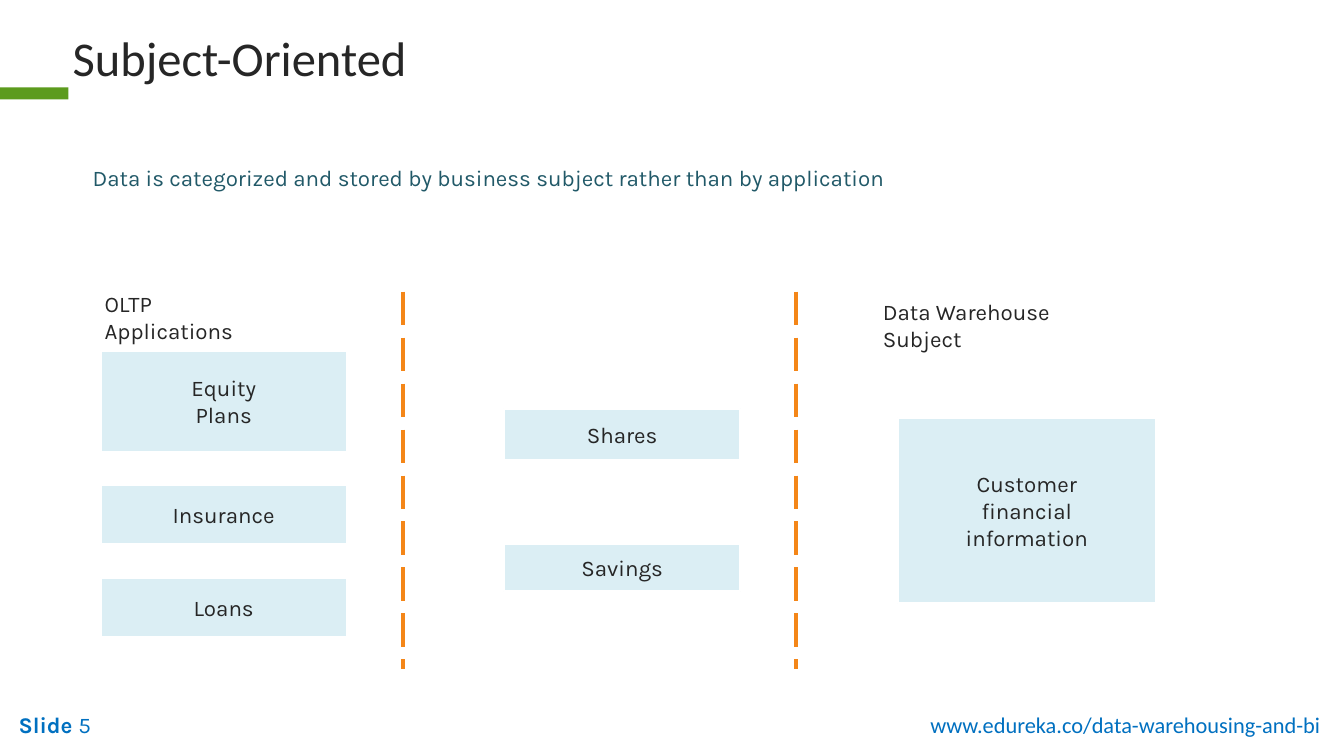
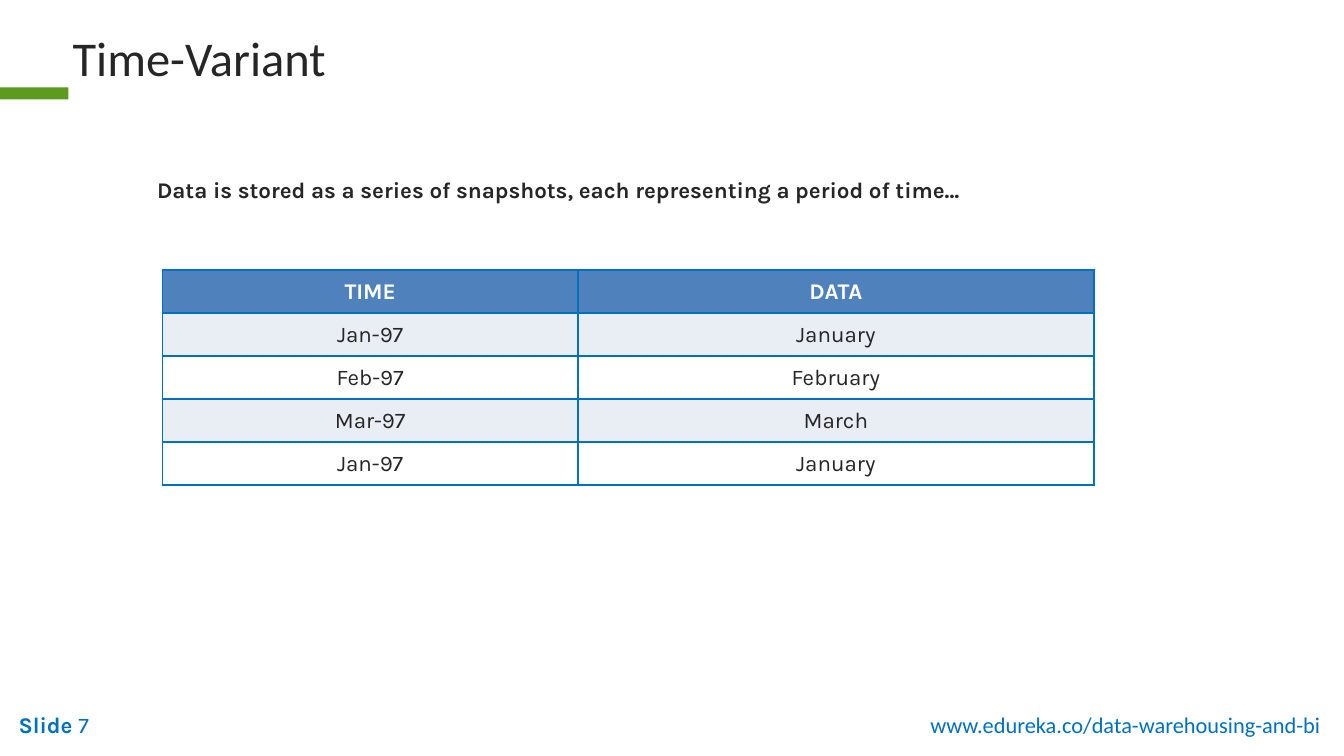
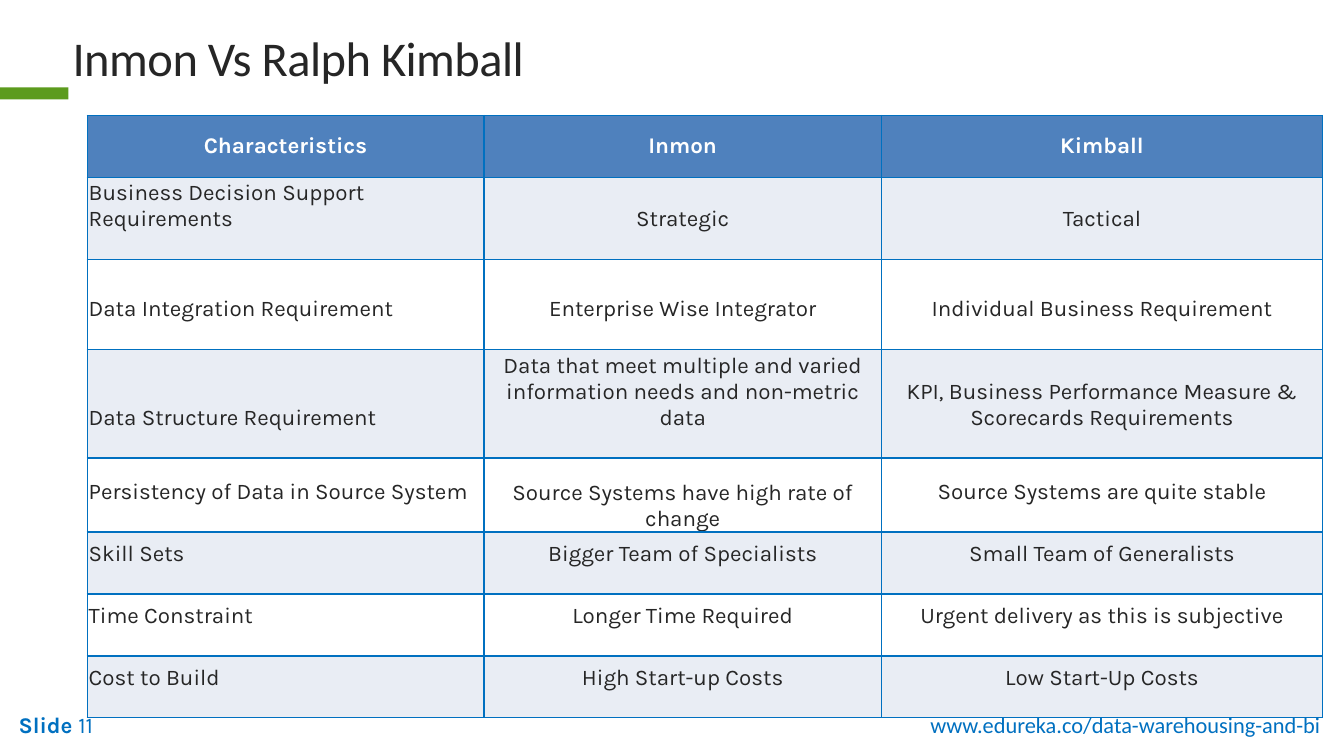
"""Build three data warehousing slides with python-pptx."""
from typing import NamedTuple

from lxml.etree import SubElement
from pptx import Presentation
from pptx.dml.color import RGBColor
from pptx.enum.dml import MSO_LINE_DASH_STYLE as Dash
from pptx.enum.shapes import MSO_AUTO_SHAPE_TYPE as ShapeType, MSO_CONNECTOR_TYPE as ConnectorType
from pptx.enum.text import MSO_ANCHOR as Anchor, MSO_AUTO_SIZE as AutoSize, PP_ALIGN as Align
from pptx.oxml.ns import qn
from pptx.util import Inches, Pt

GREEN = RGBColor(0x5C, 0x9B, 0x1D)
BLUE = RGBColor(0x00, 0x70, 0xC0)
INK = RGBColor(0x26, 0x26, 0x26)
TEAL = RGBColor(0x21, 0x59, 0x68)
PALE_BLUE = RGBColor(0xDB, 0xEE, 0xF4)
ORANGE = RGBColor(0xF4, 0x86, 0x18)
HEADER_BLUE = RGBColor(0x4F, 0x81, 0xBD)
BAND_GREY = RGBColor(0xE9, 0xED, 0xF4)
WHITE = RGBColor(0xFF, 0xFF, 0xFF)

SLIDE_WIDTH = Inches(10)
SLIDE_HEIGHT = Inches(10 * 9 / 16)
WEBSITE = "www.edureka.co/data-warehousing-and-bi"
TITLE_FRAME = {"word_wrap": True, "auto_size": AutoSize.NONE, "vertical_anchor": Anchor.TOP,
               "margin_left": Inches(0.1), "margin_right": Inches(0.1),
               "margin_top": Inches(0.05), "margin_bottom": Inches(0.05)}
BOX_FRAME = {"word_wrap": False, "vertical_anchor": Anchor.MIDDLE}
HEADER_MARGINS = {"margin_left": Inches(0.12), "margin_right": Inches(0.12),
                  "margin_top": Inches(0.06), "margin_bottom": Inches(0.06)}
CELL_MARGINS = {"margin_left": Inches(0.01), "margin_right": Inches(0.01),
                "margin_top": Inches(0.01), "margin_bottom": 0}


class Area(NamedTuple):
    """Position and size in inches."""
    left: float
    top: float
    width: float
    height: float

    def lengths(self) -> list:
        """Return the four values as lengths."""
        return [Inches(value) for value in self]


class TextStyle(NamedTuple):
    """Look of a run of text."""
    color: RGBColor = INK
    name: str = "Karla"
    size: float = 12
    bold: bool = False
    spacing: float = 0


class SubjectBox(NamedTuple):
    """A pale box with one line of text per paragraph."""
    area: Area
    lines: tuple


class TableSpec(NamedTuple):
    """Contents and layout of a banded table."""
    area: Area
    widths: tuple
    heights: tuple
    rows: tuple
    anchor: Anchor
    first_align: Align
    bottom_gap: float = 0
    tight_cells: tuple = ()


BODY = TextStyle()
TITLE = TextStyle(name="Calibri", size=26)
TIGHT_TITLE = TITLE._replace(spacing=-0.3)
HEADER = TextStyle(WHITE, bold=True)

SUBJECT_BOXES = (
    SubjectBox(Area(0.75, 2.61, 1.83, 0.75), ("Equity", "Plans")),
    SubjectBox(Area(3.75, 3.04, 1.76, 0.38), ("Shares",)),
    SubjectBox(Area(6.68, 3.11, 1.92, 1.38), ("Customer", "financial", "information")),
    SubjectBox(Area(3.75, 4.05, 1.76, 0.35), ("Savings",)),
    SubjectBox(Area(0.75, 3.61, 1.83, 0.44), ("Insurance",)),
    SubjectBox(Area(0.75, 4.3, 1.83, 0.44), ("Loans",)),
)
SNAPSHOTS = TableSpec(
    Area(1.21, 2.01, 6.93, 1.6), (3.09, 3.84), (0.32,) * 5,
    (("TIME", "DATA"), ("Jan-97", "January"), ("Feb-97", "February"),
     ("Mar-97", "March"), ("Jan-97", "January")),
    Anchor.MIDDLE, Align.CENTER)
COMPARISON = TableSpec(
    Area(0.65, 0.86, 9.19, 4.36), (2.95, 2.96, 3.28),
    (0.46, 0.6, 0.67, 0.7, 0.55, 0.46, 0.46, 0.46),
    (("Characteristics", "Inmon", "Kimball"),
     ("Business Decision Support Requirements", "Strategic", "Tactical"),
     ("Data Integration Requirement", "Enterprise Wise Integrator",
      "Individual Business Requirement"),
     ("Data Structure Requirement",
      "Data that meet multiple and varied information needs and non-metric data",
      "KPI, Business Performance Measure & Scorecards Requirements"),
     ("Persistency of Data in Source System", "Source Systems have high rate of change",
      "Source Systems are quite stable"),
     ("Skill Sets", "Bigger Team of Specialists", "Small Team of Generalists"),
     ("Time Constraint", "Longer Time Required", "Urgent delivery as this is subjective"),
     ("Cost to Build", "High Start-up Costs", "Low Start-Up Costs")),
    Anchor.BOTTOM, Align.LEFT, bottom_gap=0.2, tight_cells=((4, 1),))


def apply(target, values: dict) -> None:
    """Set each named attribute on the target."""
    for name, value in values.items():
        setattr(target, name, value)


def add_run(paragraph, text: str, style: TextStyle) -> None:
    """Append a styled run to a paragraph."""
    run = paragraph.add_run()
    run.text = text
    apply(run.font, {"name": style.name, "size": Pt(style.size), "bold": style.bold})
    run.font.color.rgb = style.color
    if style.spacing:
        run._r.get_or_add_rPr().set("spc", str(round(style.spacing * 100)))


def write_lines(frame, lines: tuple, style: TextStyle, align: Align = Align.LEFT) -> None:
    """Write one styled paragraph per line."""
    for index, line in enumerate(lines):
        paragraph = frame.add_paragraph() if index else frame.paragraphs[0]
        paragraph.alignment = align
        add_run(paragraph, line, style)


def add_text(slide, area: Area, lines: tuple, style: TextStyle = BODY,
             align: Align = Align.LEFT):
    """Add a wrapping text box and return its frame."""
    frame = slide.shapes.add_textbox(*area.lengths()).text_frame
    frame.word_wrap = True
    write_lines(frame, lines, style, align)
    return frame


def add_rectangle(slide, area: Area, fill: RGBColor):
    """Add a flat rectangle without an outline."""
    shape = slide.shapes.add_shape(ShapeType.RECTANGLE, *area.lengths())
    shape.shadow.inherit = False
    shape.fill.solid()
    shape.fill.fore_color.rgb = fill
    shape.line.fill.background()
    return shape


def add_subject_box(slide, box: SubjectBox) -> None:
    """Add a pale box with centred text."""
    shape = add_rectangle(slide, box.area, PALE_BLUE)
    shape.line.color.rgb = WHITE
    shape.line.width = Pt(1)
    apply(shape.text_frame, BOX_FRAME)
    write_lines(shape.text_frame, box.lines, BODY, Align.CENTER)


def add_divider(slide, left: float) -> None:
    """Add a dashed vertical line."""
    line = slide.shapes.add_connector(ConnectorType.STRAIGHT, Inches(left), Inches(2.17),
                                      Inches(left), Inches(4.98))
    line.line.color.rgb = ORANGE
    apply(line.line, {"width": Pt(2.25), "dash_style": Dash.LONG_DASH})
    SubElement(line.element.spPr, qn("a:effectLst"))


def add_borders(cell) -> None:
    """Outline a table cell on all four sides."""
    properties = cell._tc.get_or_add_tcPr()
    for side in ("L", "R", "T", "B"):
        border = SubElement(properties, qn(f"a:ln{side}"), w=str(Pt(1)))
        fill = SubElement(border, qn("a:solidFill"))
        SubElement(fill, qn("a:srgbClr"), val=str(BLUE))


def add_banded_table(slide, spec: TableSpec) -> None:
    """Add a table with a header row and alternating bands."""
    table = slide.shapes.add_table(len(spec.heights), len(spec.widths),
                                   *spec.area.lengths()).table
    for column, width in zip(table.columns, spec.widths):
        column.width = Inches(width)
    for row, height in zip(table.rows, spec.heights):
        row.height = Inches(height)
    for row_index, texts in enumerate(spec.rows):
        is_header = row_index == 0
        band = HEADER_BLUE if is_header else BAND_GREY if row_index % 2 else WHITE
        for column_index, text in enumerate(texts):
            cell = table.cell(row_index, column_index)
            add_borders(cell)
            cell.fill.solid()
            cell.fill.fore_color.rgb = band
            apply(cell, HEADER_MARGINS if is_header else CELL_MARGINS)
            cell.vertical_anchor = Anchor.MIDDLE if is_header else spec.anchor
            if not is_header and (row_index, column_index) not in spec.tight_cells:
                cell.margin_bottom = Inches(spec.bottom_gap)
            align = Align.CENTER if is_header or column_index else spec.first_align
            write_lines(cell.text_frame, (text,), HEADER if is_header else BODY, align)


def add_slide(presentation, title: str, number: int, style: TextStyle = TITLE):
    """Add a slide with the shared title, band and footer."""
    slide = presentation.slides.add_slide(presentation.slide_layouts[5])
    add_rectangle(slide, Area(0, 0.65, 0.51, 0.09), GREEN)
    footer = add_text(slide, Area(0.04, 5.24, 1.58, 0.3), ("Slide ",), TextStyle(BLUE, bold=True))
    add_run(footer.paragraphs[0], str(number), TextStyle(BLUE))
    add_text(slide, Area(6.75, 5.24, 3.25, 0.3), (WEBSITE,), TextStyle(BLUE, "Calibri"),
             Align.CENTER)
    heading = slide.shapes.title
    left, top, width, height = Area(0.44, 0.16, 9.4, 0.54).lengths()
    apply(heading, {"left": left, "top": top, "width": width, "height": height})
    apply(heading.text_frame, TITLE_FRAME)
    write_lines(heading.text_frame, (title,), style)
    return slide


def build_subject_slide(presentation) -> None:
    """Build the subject-oriented slide."""
    slide = add_slide(presentation, "Subject-Oriented", 5)
    add_text(slide, Area(0.59, 1.17, 7.31, 0.3),
             ("Data is categorized and stored by business subject rather than by application",),
             TextStyle(TEAL))
    for box in SUBJECT_BOXES:
        add_subject_box(slide, box)
    add_text(slide, Area(0.68, 2.11, 1.45, 0.3), ("OLTP Applications",))
    add_text(slide, Area(6.47, 2.17, 1.95, 0.3), ("Data Warehouse Subject",))
    for left in (3, 5.92):
        add_divider(slide, left)


def build_time_slide(presentation) -> None:
    """Build the time-variant slide."""
    slide = add_slide(presentation, "Time-Variant", 7)
    add_text(slide, Area(1.07, 1.26, 6.58, 0.3),
             ("Data is stored as a series of snapshots, each representing a period of time…",),
             TextStyle(bold=True))
    add_banded_table(slide, SNAPSHOTS)


def build_comparison_slide(presentation) -> None:
    """Build the comparison slide."""
    slide = add_slide(presentation, "Inmon Vs Ralph Kimball", 11, TIGHT_TITLE)
    add_banded_table(slide, COMPARISON)


def main() -> None:
    """Build and save the presentation."""
    presentation = Presentation()
    apply(presentation, {"slide_width": SLIDE_WIDTH, "slide_height": SLIDE_HEIGHT})
    build_subject_slide(presentation)
    build_time_slide(presentation)
    build_comparison_slide(presentation)
    presentation.save("out.pptx")


if __name__ == "__main__":
    main()
